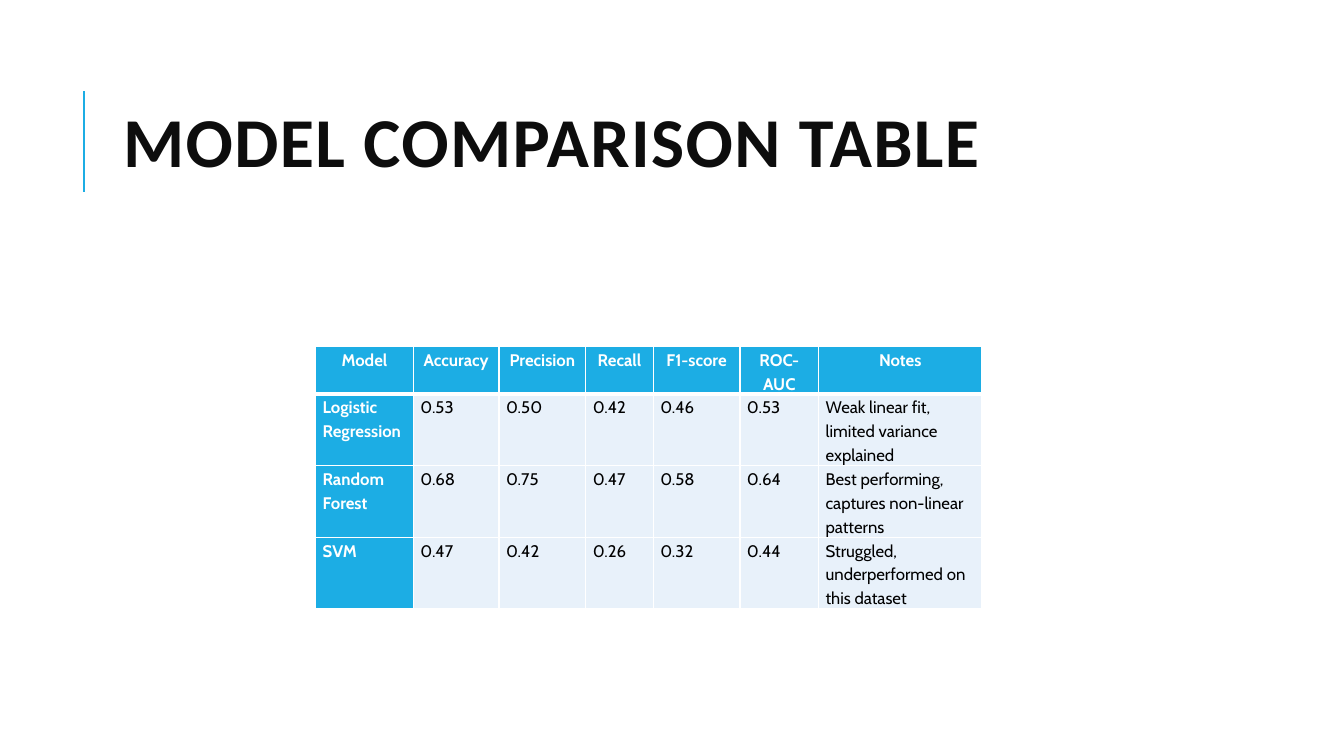
from lxml.etree import SubElement
from pptx import Presentation
from pptx.dml.color import RGBColor
from pptx.enum.shapes import MSO_CONNECTOR
from pptx.enum.text import MSO_ANCHOR, MSO_AUTO_SIZE, PP_ALIGN
from pptx.oxml.ns import qn
from pptx.util import Inches, Pt

# Content
TITLE = "MODEL COMPARISON TABLE"
RESULTS = [
    ("Model", "Accuracy", "Precision", "Recall", "F1-score", "ROC-AUC", "Notes"),
    ("Logistic Regression", "0.53", "0.50", "0.42", "0.46", "0.53",
     "Weak linear fit, limited variance explained"),
    ("Random Forest", "0.68", "0.75", "0.47", "0.58", "0.64",
     "Best performing, captures non-linear patterns"),
    ("SVM", "0.47", "0.42", "0.26", "0.32", "0.44",
     "Struggled, underperformed on this dataset"),
]

# Layout in inches
TITLE_BOX = (1.12, 0.64, 10.63, 1.64)
RULE_X, RULE_TOP, RULE_BOTTOM = 0.83, 0.9, 1.9
TABLE_LEFT, TABLE_TOP = 3.13, 3.44
COLUMNS = (0.97, 0.85, 0.86, 0.67, 0.86, 0.78, 1.62)
ROWS = (0.47, 0.71, 0.71, 0.7)

ACCENT, PALE, WHITE, BLACK, INK = "1CADE4", "E8F1FA", "FFFFFF", "000000", "0D0D0D"


def color(value):
    return RGBColor.from_string(value)


def apply(target, formats):
    for name, value in formats.items():
        setattr(target, name, value)


def write(para, text, font, size, ink, bold):
    span = para.add_run()
    span.text = text
    apply(span.font, {"name": font, "size": Pt(size), "bold": bold})
    span.font.color.rgb = color(ink)
    return span


def add_borders(cell, widths):
    properties = cell._tc.get_or_add_tcPr()
    for side, width in widths.items():
        line = SubElement(properties, qn(f"a:ln{side}"), w=str(Pt(width)))
        fill = SubElement(line, qn("a:solidFill"))
        SubElement(fill, qn("a:srgbClr"), val=WHITE)


deck = Presentation()
apply(deck, {"slide_width": Inches(13.33), "slide_height": Inches(7.5)})
page = deck.slides.add_slide(deck.slide_layouts[5])

# Accent rule beside the title
rule = page.shapes.add_connector(
    MSO_CONNECTOR.STRAIGHT,
    *map(Inches, (RULE_X, RULE_BOTTOM, RULE_X, RULE_TOP)))
rule.line.color.rgb = color(ACCENT)
rule.line.width = Pt(1.5)
SubElement(rule._element.spPr, qn("a:effectLst"))

# Title
title = page.shapes.title
apply(title, dict(zip(("left", "top", "width", "height"), map(Inches, TITLE_BOX))))
apply(title.text_frame, {"word_wrap": True, "auto_size": MSO_AUTO_SIZE.NONE,
                         "vertical_anchor": MSO_ANCHOR.MIDDLE})
heading = title.text_frame.paragraphs[0]
apply(heading, {"alignment": PP_ALIGN.LEFT, "line_spacing": 0.8})
span = write(heading, TITLE, "Calibri", 50, INK, True)
span.font._element.set("spc", "100")

# Comparison table
table = page.shapes.add_table(
    len(ROWS), len(COLUMNS),
    *map(Inches, (TABLE_LEFT, TABLE_TOP, sum(COLUMNS), sum(ROWS)))).table
for column, width in zip(table.columns, COLUMNS):
    column.width = Inches(width)
for row, height in zip(table.rows, ROWS):
    row.height = Inches(height)

for r, values in enumerate(RESULTS):
    for c, text in enumerate(values):
        cell = table.cell(r, c)
        is_label = r == 0 or c == 0
        apply(cell, {"margin_left": Inches(0.07), "margin_right": Inches(0.07),
                     "margin_top": 0, "margin_bottom": 0})
        # A thick line parts the header from the results
        add_borders(cell, {"L": 1, "R": 1, "T": 3 if r == 1 else 1,
                           "B": 3 if r == 0 else 1})
        cell.fill.solid()
        cell.fill.fore_color.rgb = color(ACCENT if is_label else PALE)
        para = cell.text_frame.paragraphs[0]
        apply(para, {"alignment": PP_ALIGN.CENTER if r == 0 else PP_ALIGN.LEFT,
                     "line_spacing": 1.16, "space_after": Pt(8)})
        write(para, text, "Cabin", 12, WHITE if is_label else BLACK, is_label)

deck.save("out.pptx")
